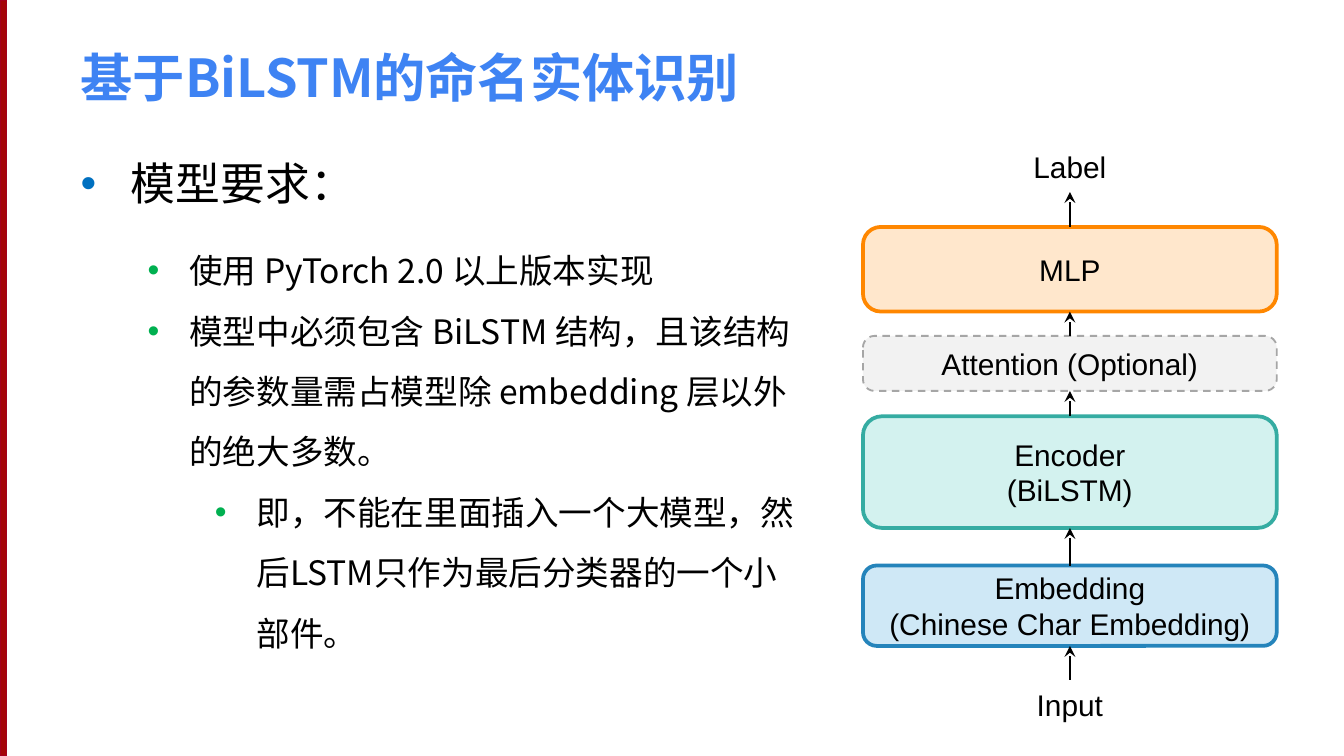
from dataclasses import dataclass
from itertools import pairwise

from lxml.etree import SubElement
from pptx import Presentation
from pptx.dml.color import RGBColor
from pptx.enum.dml import MSO_LINE_DASH_STYLE as Dash
from pptx.enum.shapes import MSO_CONNECTOR as Connector, MSO_SHAPE as ShapeKind
from pptx.enum.text import MSO_ANCHOR as Anchor, MSO_AUTO_SIZE as AutoSize, PP_ALIGN as Align
from pptx.oxml.ns import qn
from pptx.util import Cm, Pt

COLORS = {
    "black": "000000", "title": "3E83F3", "bar": "A40508", "bar_line": "A4001D",
    "blue_bullet": "0070C0", "green_bullet": "00B050",
    "mlp": "FFE7CC", "mlp_line": "FF8700",
    "attention": "F2F2F2", "attention_line": "A6A6A6",
    "encoder": "D3F2EF", "encoder_line": "35ACA2",
    "embedding": "CFE8F6", "embedding_line": "2584BB",
}
CHINESE_FONT = "Noto Sans CJK SC"
DIAGRAM_FONT = "Arial"
CENTER = 20.22


@dataclass(frozen=True)
class Stage:
    lines: tuple[str, ...]
    top: float
    height: float
    color: str = ""
    width: float = 7.82
    corner: float = 0.17
    line_width: float = 2
    dashed: bool = False

    @property
    def left(self) -> float:
        return CENTER - self.width / 2

    @property
    def bottom(self) -> float:
        return self.top + self.height


@dataclass(frozen=True)
class Bullet:
    text: str
    size: float
    color: str
    margin: float
    hanging: float
    level: int = 0
    line_spacing: float = 1.0
    space_before: float = 0


STAGES = [
    Stage(("Label",), 2.69, 0.94, width=1.9),
    Stage(("MLP",), 4.29, 1.6, "mlp", corner=0.21),
    Stage(("Attention (Optional)",), 6.35, 1.04, "attention", corner=0.21, line_width=1, dashed=True),
    Stage(("Encoder", "(BiLSTM)"), 7.87, 2.11, "encoder"),
    Stage(("Embedding", "(Chinese Char Embedding)"), 10.69, 1.52, "embedding"),
    Stage(("Input",), 12.85, 0.94, width=1.9),
]
HEADING = [Bullet("模型要求：", 24, "blue_bullet", 0.95, 0.95, space_before=4.8)]
REQUIREMENTS = [
    Bullet("使用 PyTorch 2.0 以上版本实现", 18, "green_bullet", 0.79, 0.79, line_spacing=1.5),
    Bullet("模型中必须包含 BiLSTM 结构，且该结构的参数量需占模型除 embedding 层以外的绝大多数。",
           18, "green_bullet", 0.79, 0.79, line_spacing=1.5),
    Bullet("即，不能在里面插入一个大模型，然后LSTM只作为最后分类器的一个小部件。",
           18, "green_bullet", 2.06, 0.79, level=1, line_spacing=1.5),
]


def rgb(name: str) -> RGBColor:
    return RGBColor.from_string(COLORS[name])


def place(shape, left: float, top: float, width: float, height: float) -> None:
    shape.left, shape.top, shape.width, shape.height = map(Cm, (left, top, width, height))


def set_font(paragraph, name: str, size: float, color: str = "black", bold: bool = False) -> None:
    font = paragraph.font
    font.name, font.size, font.bold = name, Pt(size), bold
    font.color.rgb = rgb(color)
    properties = paragraph._p.get_or_add_pPr().find(qn("a:defRPr"))
    SubElement(properties, qn("a:ea"), typeface=name)


def write_bullets(frame, bullets: list[Bullet]) -> None:
    frame.word_wrap = True
    frame.auto_size = AutoSize.NONE
    frame.vertical_anchor = Anchor.TOP
    for index, bullet in enumerate(bullets):
        paragraph = frame.add_paragraph() if index else frame.paragraphs[0]
        paragraph.text = bullet.text
        paragraph.level = bullet.level
        paragraph.alignment = Align.LEFT
        properties = paragraph._p.get_or_add_pPr()
        properties.set("marL", str(Cm(bullet.margin)))
        properties.set("indent", str(-Cm(bullet.hanging)))
        color = SubElement(properties, qn("a:buClr"))
        SubElement(color, qn("a:srgbClr"), val=COLORS[bullet.color])
        SubElement(properties, qn("a:buFont"), typeface=DIAGRAM_FONT)
        SubElement(properties, qn("a:buChar"), char="•")
        paragraph.line_spacing = bullet.line_spacing
        paragraph.space_before = Pt(bullet.space_before)
        set_font(paragraph, CHINESE_FONT, bullet.size)


def draw_stage(slide, stage: Stage) -> None:
    bounds = [Cm(value) for value in (stage.left, stage.top, stage.width, stage.height)]
    if stage.color:
        shape = slide.shapes.add_shape(ShapeKind.ROUNDED_RECTANGLE, *bounds)
        shape.adjustments[0] = stage.corner
        shape.shadow.inherit = False
        shape.fill.solid()
        shape.fill.fore_color.rgb = rgb(stage.color)
        shape.line.color.rgb = rgb(f"{stage.color}_line")
        shape.line.width = Pt(stage.line_width)
        if stage.dashed:
            shape.line.dash_style = Dash.DASH
    else:
        shape = slide.shapes.add_textbox(*bounds)
    frame = shape.text_frame
    frame.word_wrap = bool(stage.color)
    frame.auto_size = AutoSize.NONE if stage.color else AutoSize.SHAPE_TO_FIT_TEXT
    frame.vertical_anchor = Anchor.MIDDLE if stage.color else Anchor.TOP
    frame.text = "\n".join(stage.lines)
    for paragraph in frame.paragraphs:
        paragraph.alignment = Align.CENTER
        set_font(paragraph, DIAGRAM_FONT, 16)


def draw_arrow(slide, start: float, end: float) -> None:
    arrow = slide.shapes.add_connector(Connector.STRAIGHT, Cm(CENTER), Cm(start), Cm(CENTER), Cm(end))
    arrow.line.color.rgb = rgb("black")
    arrow.line.width = Pt(1)
    SubElement(arrow.line._get_or_add_ln(), qn("a:tailEnd"), type="stealth")
    SubElement(arrow._element.spPr, qn("a:effectLst"))


def main() -> None:
    presentation = Presentation()
    presentation.slide_width, presentation.slide_height = Cm(25.4), Cm(14.29)
    slide = presentation.slides.add_slide(presentation.slide_layouts[1])

    bar = slide.shapes.add_shape(ShapeKind.RECTANGLE, 0, 0, Cm(0.13), presentation.slide_height)
    bar.shadow.inherit = False
    bar.fill.solid()
    bar.fill.fore_color.rgb = rgb("bar")
    bar.line.color.rgb = rgb("bar_line")
    bar.line.width = Pt(0.75)

    title = slide.shapes.title
    place(title, 1.27, 0.86, 20.75, 1.3)
    title.text_frame.text = "基于BiLSTM的命名实体识别"
    title.text_frame.auto_size = AutoSize.NONE
    title.text_frame.vertical_anchor = Anchor.BOTTOM
    title_paragraph = title.text_frame.paragraphs[0]
    title_paragraph.alignment = Align.LEFT
    set_font(title_paragraph, CHINESE_FONT, 28, "title", bold=True)

    body = slide.placeholders[1]
    place(body, 1.27, 2.82, 22.23, 1.4)
    write_bullets(body.text_frame, HEADING)

    requirements = slide.shapes.add_textbox(Cm(2.54), Cm(4.22), Cm(12.9), Cm(8.2))
    write_bullets(requirements.text_frame, REQUIREMENTS)

    for stage in STAGES:
        draw_stage(slide, stage)
    for upper, lower in pairwise(STAGES):
        draw_arrow(slide, lower.top, upper.bottom)

    presentation.save("out.pptx")


if __name__ == "__main__":
    main()
